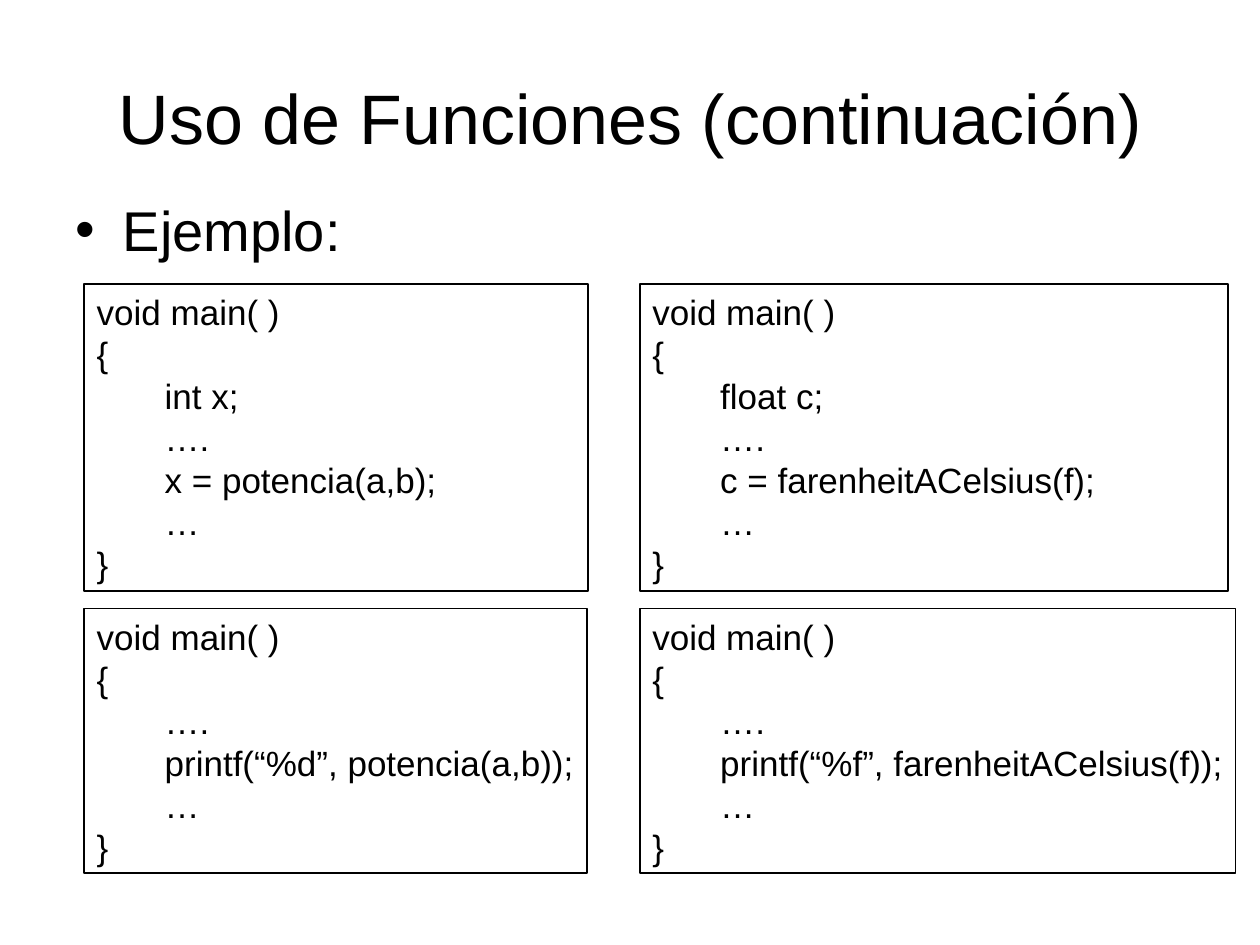
from pptx import Presentation, util as u
from pptx.dml.color import RGBColor
from pptx.enum import shapes, text

FONT = "Arial"
BLACK = "000000"
LEFT, RIGHT = 1.7, 12.9
UPPER, LOWER = 5.72, 12.27


def colour(value):
    return RGBColor.from_string(value)


def place(shape, box):
    shape.left, shape.top, shape.width, shape.height = map(u.Cm, box)


def style(para, size):
    para.font.name = FONT
    para.font.size = u.Pt(size)
    para.font.color.rgb = colour(BLACK)


def add_heading(page, box):
    title = page.shapes.title
    place(title, box)
    title.text_frame.text = "Uso de Funciones (continuación)"
    title.text_frame.auto_size = text.MSO_AUTO_SIZE.NONE
    style(title.text_frame.paragraphs[0], 40)


def add_bullet(page, box):
    body = page.placeholders[1]
    place(body, box)
    body.text_frame.text = "Ejemplo:"
    body.text_frame.auto_size = text.MSO_AUTO_SIZE.NONE
    para = body.text_frame.paragraphs[0]
    para.space_before = u.Pt(8)
    style(para, 32)


def add_program(page, box, statements):
    """Frame a C main function whose statements are indented."""
    panel = page.shapes.add_shape(shapes.MSO_SHAPE.RECTANGLE, 0, 0, 0, 0)
    place(panel, box)
    panel.shadow.inherit = False
    panel.fill.background()
    panel.line.color.rgb = colour(BLACK)
    panel.line.width = u.Pt(1)

    frame = panel.text_frame
    frame.word_wrap = True
    frame.vertical_anchor = text.MSO_ANCHOR.TOP
    frame.margin_left = u.Cm(0.25)
    frame.margin_right = 0
    frame.margin_top = frame.margin_bottom = u.Cm(0.13)
    frame.text = "\n".join(["void main( )", "{", *statements, "}"])
    for para in frame.paragraphs:
        para.alignment = text.PP_ALIGN.LEFT
        style(para, 20)
    for para in frame.paragraphs[2:-1]:
        para._p.get_or_add_pPr().set("marL", str(u.Cm(1.37)))


def main():
    deck = Presentation()
    deck.slide_width, deck.slide_height = u.Cm(25.4), u.Cm(19.05)
    page = deck.slides.add_slide(deck.slide_layouts[1])

    add_heading(page, (1.27, 0.76, 22.86, 3.18))
    add_bullet(page, (1.27, 3.81, 22.86, 1.9))

    programs = [
        ((LEFT, UPPER, 10.16, 6.2),
         ["int x;", "….", "x = potencia(a,b);", "…"]),
        ((RIGHT, UPPER, 11.86, 6.2),
         ["float c;", "….", "c = farenheitACelsius(f);", "…"]),
        ((LEFT, LOWER, 10.13, 5.33),
         ["….", "printf(“%d”, potencia(a,b));", "…"]),
        ((RIGHT, LOWER, 12.01, 5.33),
         ["….", "printf(“%f”, farenheitACelsius(f));", "…"]),
    ]
    for box, statements in programs:
        add_program(page, box, statements)

    deck.save("out.pptx")


if __name__ == "__main__":
    main()
